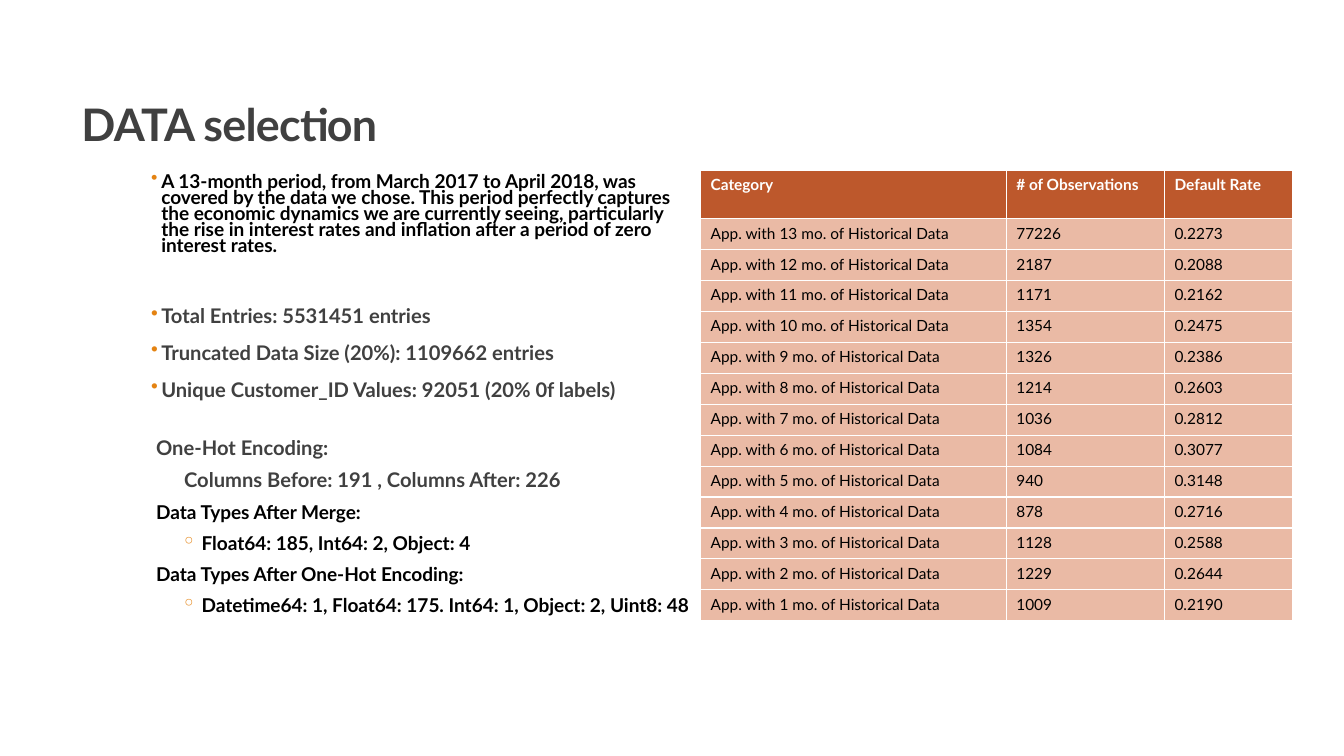
from lxml import etree
from pptx import Presentation
from pptx.dml.color import RGBColor
from pptx.enum.text import MSO_ANCHOR, PP_ALIGN
from pptx.oxml.ns import qn
from pptx.util import Pt

LEFT, TOP, BOTTOM = PP_ALIGN.LEFT, MSO_ANCHOR.TOP, MSO_ANCHOR.BOTTOM
FONT = "Lato"
COLOR = {"gray": "404040", "black": "000000", "white": "FFFFFF",
         "orange": "E48312", "head": "BD582C", "cell": "EABAA5"}

# Content
TITLE = "DATA selection"
NOTES = [  # text, style, size, color, space before
    ("A 13-month period, from March 2017 to April 2018, was covered by the data "
     "we chose. This period perfectly captures the economic dynamics we are "
     "currently seeing, particularly the rise in interest rates and inflation "
     "after a period of zero interest rates.", "point", 13.6, "black", 0),
    ("Total Entries: 5531451 entries", "point", 14.4, "gray", 37.4),
    ("Truncated Data Size (20%): 1109662 entries", "point", 14.4, "gray", 12),
    ("Unique Customer_ID Values: 92051 (20% 0f labels)", "point", 14.4, "gray", 12),
    ("One-Hot Encoding:", "head", 14.4, "gray", 25.4),
    ("Columns Before: 191 , Columns After: 226", "plain", 14.4, "gray", 0),
    ("Data Types After Merge:", "head", 13.6, "black", 0),
    ("Float64: 185, Int64: 2, Object: 4", "sub", 13.6, "black", 0),
    ("Data Types After One-Hot Encoding:", "head", 13.6, "black", 0),
    ("Datetime64: 1, Float64: 175. Int64: 1, Object: 2, Uint8: 48",
     "sub", 13.6, "black", 0),
]
STYLES = {
    "point": dict(left=7.2, hang=7.2, mark="•", line=0.7, after=2),
    "head": dict(left=3.5, line=0.87, after=8),
    "plain": dict(left=23.5, line=0.87, after=8, level=1),
    "sub": dict(left=36, hang=14.4, mark="◦", line=0.87, after=8, level=1),
}
HEADS = ("Category", "# of Observations", "Default Rate")
RATES = [  # observations and default rate, from 13 months down to 1
    ("77226", "0.2273"), ("2187", "0.2088"), ("1171", "0.2162"),
    ("1354", "0.2475"), ("1326", "0.2386"), ("1214", "0.2603"),
    ("1036", "0.2812"), ("1084", "0.3077"), ("940", "0.3148"),
    ("878", "0.2716"), ("1128", "0.2588"), ("1229", "0.2644"),
    ("1009", "0.2190"),
]
WIDTHS = (218.4, 113, 91.4)
HEAD_H, ROW_H = 34.6, 22.1


def write(para, text, size=11, color="black", bold=False, line=None,
          before=0, after=0, left=0, hang=0, mark=None, level=0):
    para.alignment = LEFT
    para.level = level
    para.space_before, para.space_after = Pt(before), Pt(after)
    if line:
        para.line_spacing = line
    props = para._p.get_or_add_pPr()
    props.set("marL", str(int(Pt(left))))
    props.set("indent", str(-int(Pt(hang))))
    if mark:
        tint = etree.SubElement(props, qn("a:buClr"))
        etree.SubElement(tint, qn("a:srgbClr"), val=COLOR["orange"])
        etree.SubElement(props, qn("a:buChar"), char=mark)
    else:
        etree.SubElement(props, qn("a:buNone"))
    run = para.add_run()
    run.text = text
    font = run.font
    font.name, font.size, font.bold = FONT, Pt(size), bold
    font.color.rgb = RGBColor.from_string(COLOR[color])
    return run


deck = Presentation()
deck.slide_width, deck.slide_height = Pt(960), Pt(540)
slide = deck.slides.add_slide(deck.slide_layouts[5])

# Title
title = slide.shapes.title
title.left, title.top, title.width, title.height = Pt(51), Pt(6.5), Pt(828), Pt(104.4)
title.text_frame.vertical_anchor = BOTTOM
run = write(title.text_frame.paragraphs[0], TITLE, size=32, color="gray",
            bold=True, line=0.85)
run.font._element.set("spc", "-50")

# Notes on the left
frame = slide.shapes.add_textbox(Pt(108), Pt(121.7), Pt(387.4), Pt(342.7)).text_frame
frame.word_wrap = True
frame.vertical_anchor = TOP
frame.margin_left = frame.margin_right = 0
for i, (text, style, size, color, before) in enumerate(NOTES):
    para = frame.add_paragraph() if i else frame.paragraphs[0]
    write(para, text, size=size, color=color, bold=True, before=before,
          **STYLES[style])

# Table on the right
rows = [HEADS] + [(f"App. with {len(RATES) - i} mo. of Historical Data", *pair)
                  for i, pair in enumerate(RATES)]
table = slide.shapes.add_table(len(rows), len(HEADS), Pt(500.4), Pt(121.7),
                               Pt(sum(WIDTHS)), Pt(HEAD_H + ROW_H * len(RATES))).table
for col, width in zip(table.columns, WIDTHS):
    col.width = Pt(width)
for r, row in enumerate(rows):
    top = r == 0
    table.rows[r].height = Pt(HEAD_H if top else ROW_H)
    for c, text in enumerate(row):
        cell = table.cell(r, c)
        cell.fill.solid()
        cell.fill.fore_color.rgb = RGBColor.from_string(COLOR["head" if top else "cell"])
        write(cell.text_frame.paragraphs[0], text,
              color="white" if top else "black", bold=top)

deck.save("out.pptx")
